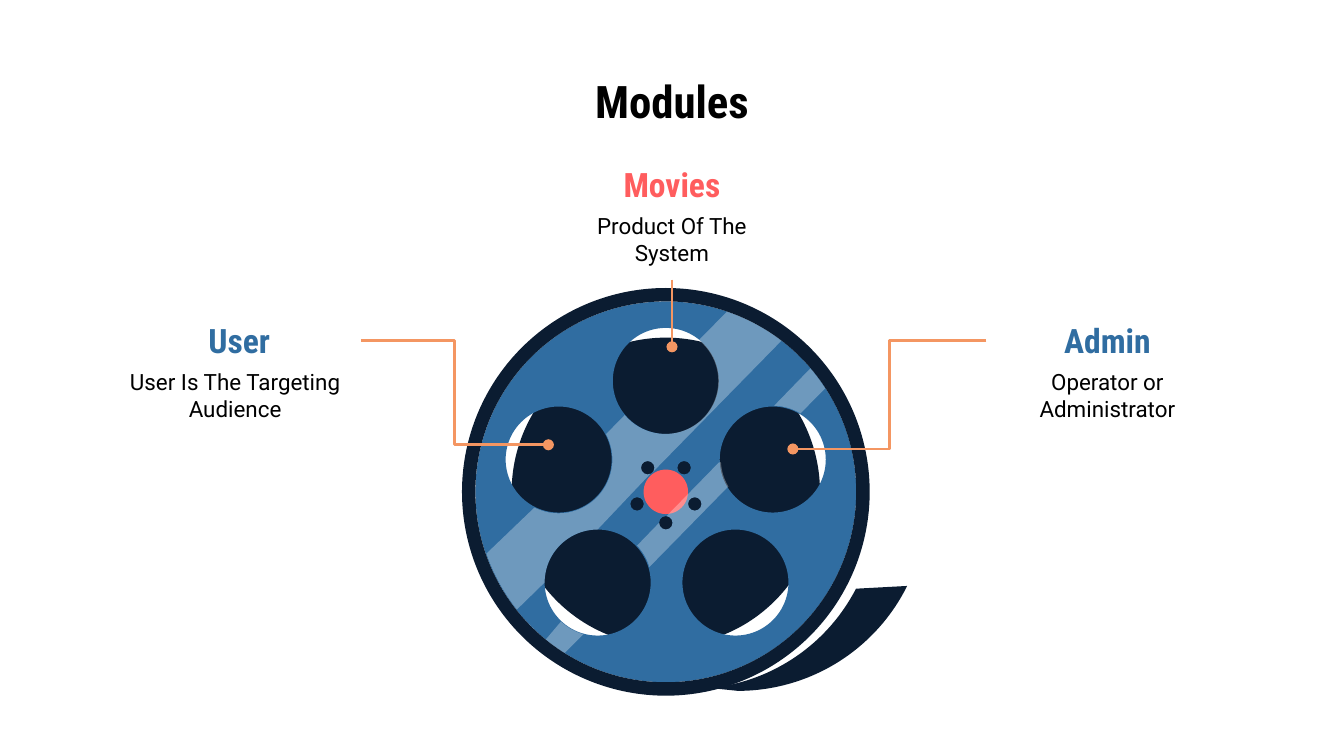
from math import atan2, degrees, hypot

from lxml import etree
from pptx import Presentation
from pptx.dml.color import RGBColor
from pptx.enum.shapes import MSO_CONNECTOR, MSO_SHAPE
from pptx.enum.text import MSO_ANCHOR, PP_ALIGN
from pptx.oxml.ns import qn
from pptx.util import Pt

ELBOW, STRAIGHT = MSO_CONNECTOR.ELBOW, MSO_CONNECTOR.STRAIGHT
OVAL, DONUT = MSO_SHAPE.OVAL, MSO_SHAPE.DONUT
TOP, MIDDLE = MSO_ANCHOR.TOP, MSO_ANCHOR.MIDDLE
CENTER = PP_ALIGN.CENTER

BLACK = RGBColor(0x00, 0x00, 0x00)
WHITE = RGBColor(0xFF, 0xFF, 0xFF)
NAVY = RGBColor(0x0B, 0x1C, 0x31)
BLUE = RGBColor(0x30, 0x6D, 0xA1)
RED = RGBColor(0xFF, 0x5D, 0x5E)
ORANGE = RGBColor(0xF4, 0x96, 0x62)
HEADING_FONT, BODY_FONT = "Roboto Condensed", "Roboto"

# Heading, its colour, description, left of each, top of heading
MODULES = [
    ("User", BLUE, "User Is The Targeting Audience", 63.4, 61.2, 168.5),
    ("Movies", RED, "Product Of The System", 295.2, 295.2, 85),
    ("Admin", BLUE, "Operator or Administrator", 528.5, 528.5, 168.5),
]
LEADERS = [
    (ELBOW, (193.4, 182.2), (293.8, 238.3)),
    (ELBOW, (528.5, 182.2), (424.8, 240.5)),
    (STRAIGHT, (360, 149.8), (360, 185.8)),
]

REEL = (356.7, 263.5)
FILM_RADIUS, FACE_RADIUS, RIM_RADIUS = 82.6, 102, 109.2
HUB_RADIUS, AXLE_RADIUS, WINDOW_RADIUS, BOLT_RADIUS = 11.9, 9.7, 28.4, 3.6
WINDOWS = [(356.7, 204.1), (299.3, 246.2), (414, 246.2), (320.2, 312.1), (394, 312.1)]
TOP_WINDOW, LEFT_WINDOW, RIGHT_WINDOW, LOW_WINDOW, _ = WINDOWS
BOLTS = [(347, 250.6), (366.5, 250.6), (341.3, 270), (372.2, 270), (356.7, 280.1)]
LEFT_BOLT, _, _, RIGHT_BOLT, LOW_BOLT = BOLTS

# An outline is a list of (point, centre): an arc about the centre leads
# to the point, or a straight line where the centre is None.
FILM_TAIL = [
    ((486, 313.9), None), ((458.6, 315.4), None),
    ((380.2, 368.6), (370.5, 269.9)), ((395.3, 370.1), None),
    ((486, 313.9), (395.3, 268.8)),
]
LOWER_GLARE = [
    ((300.2, 333.4), None), ((292.3, 342.7), None), ((302.4, 349.9), REEL),
    ((312.5, 339.8), None), ((300.2, 333.4), LOW_WINDOW),
]
WIDE_GLARE = [
    ((389.5, 167), None), ((374.4, 182.2), None),
    ((385.1, 204.1), TOP_WINDOW), ((334.8, 222.5), TOP_WINDOW),
    ((324.7, 232.6), None), ((286.6, 271.4), LEFT_WINDOW),
    ((260.6, 296.6), None), ((276.5, 326.9), REEL),
    ((291.8, 312.1), None), ((320.2, 283.7), LOW_WINDOW),
    ((348.5, 253.8), None), ((343.4, 250.6), LEFT_BOLT),
    ((347, 247), LEFT_BOLT), ((349.9, 252.7), LEFT_BOLT),
    ((419, 182.2), None), ((389.5, 167), REEL),
]
UPPER_GLARE = [
    ((434.2, 197.3), None), ((414.7, 217.4), None), ((429.1, 221), RIGHT_WINDOW),
    ((442.1, 208.1), None), ((434.2, 197.3), REEL),
]
MIDDLE_GLARE = [
    ((385.2, 247.7), None), ((357.1, 276.5), None), ((360.3, 280.1), LOW_BOLT),
    ((356.7, 283.7), LOW_BOLT), ((353.5, 280.1), LOW_BOLT),
    ((341.3, 292.3), None), ((347.8, 303.8), LOW_WINDOW),
    ((390.2, 260.6), None), ((385.2, 247.7), RIGHT_WINDOW),
]


def circle(center, radius):
    """Outline of four quarter arcs."""
    x, y = center
    right = (x + radius, y)
    quarters = [(x, y + radius), (x - radius, y), (x, y - radius), right]
    return [(right, None)] + [(point, center) for point in quarters]


def arc_element(start, end, center):
    """Arc between two points, the short way round."""
    x, y = center
    start_angle = degrees(atan2(start[1] - y, start[0] - x))
    end_angle = degrees(atan2(end[1] - y, end[0] - x))
    sweep = (end_angle - start_angle + 180) % 360 - 180
    radius = str(Pt(hypot(start[0] - x, start[1] - y)))
    return etree.Element(qn("a:arcTo"), {
        "wR": radius, "hR": radius,
        "stAng": str(round(start_angle % 360 * 60000)),
        "swAng": str(round(sweep * 60000)),
    })


def paint(shape, color, opacity=100):
    shape.shadow.inherit = False
    shape.fill.solid()
    shape.fill.fore_color.rgb = color
    shape.line.fill.background()
    if opacity < 100:
        color_element = shape._element.spPr.find(qn("a:solidFill"))[0]
        etree.SubElement(color_element, qn("a:alpha")).set("val", str(opacity * 1000))


def add_outline(slide, outlines, color, opacity=100):
    """Draw the first outline with the others cut out of it."""
    builder = None
    for outline in outlines:
        first, *others = [(Pt(x), Pt(y)) for (x, y), _ in outline]
        if builder is None:
            builder = slide.shapes.build_freeform(*first, scale=1.0)
        else:
            builder.move_to(*first)
        builder.add_line_segments(others, close=True)
    shape = builder.convert_to_shape()
    lines = list(shape._element.iter(qn("a:lnTo")))
    steps = [(start, end, center) for outline in outlines
             for (start, _), (end, center) in zip(outline, outline[1:])]
    for line, (start, end, center) in zip(lines, steps):
        if center:
            line.getparent().replace(line, arc_element(start, end, center))
    paint(shape, color, opacity)


def add_round(slide, kind, radius, color):
    x, y = REEL
    shape = slide.shapes.add_shape(
        kind, Pt(x - radius), Pt(y - radius), Pt(2 * radius), Pt(2 * radius))
    paint(shape, color)
    return shape


def add_text(slide, text, box, font_name, size, color, bold=False, anchor=TOP):
    frame = slide.shapes.add_textbox(*[Pt(length) for length in box]).text_frame
    frame.word_wrap = True
    frame.vertical_anchor = anchor
    frame.margin_left = frame.margin_right = Pt(7.2)
    frame.margin_top = frame.margin_bottom = Pt(7.2)
    frame.text = text
    paragraph = frame.paragraphs[0]
    paragraph.alignment = CENTER
    font = paragraph.runs[0].font
    font.name, font.size, font.bold = font_name, Pt(size), bold
    font.color.rgb = color


def add_leader(slide, kind, start, end):
    connector = slide.shapes.add_connector(
        kind, *[Pt(length) for length in start + end])
    connector.line.color.rgb = ORANGE
    connector.line.width = Pt(1.5)
    properties = connector._element.spPr
    etree.SubElement(properties.find(qn("a:ln")), qn("a:tailEnd")).set("type", "oval")
    etree.SubElement(properties, qn("a:effectLst"))


def add_reel(slide):
    add_round(slide, OVAL, FILM_RADIUS, NAVY)
    openings = [circle(center, WINDOW_RADIUS) for center in WINDOWS]
    openings += [circle(center, BOLT_RADIUS) for center in BOLTS]
    openings.append(circle(REEL, AXLE_RADIUS))
    add_outline(slide, [circle(REEL, FACE_RADIUS)] + openings, BLUE)
    add_outline(slide, [FILM_TAIL], NAVY)
    add_round(slide, OVAL, HUB_RADIUS, RED)
    for glare in (LOWER_GLARE, WIDE_GLARE, UPPER_GLARE):
        add_outline(slide, [glare], WHITE, 30)
    add_outline(slide, [MIDDLE_GLARE, circle(RIGHT_BOLT, BOLT_RADIUS)], WHITE, 30)
    rim = add_round(slide, DONUT, RIM_RADIUS, NAVY)
    rim.adjustments[0] = (RIM_RADIUS - FACE_RADIUS) / (2 * RIM_RADIUS)


def main():
    presentation = Presentation()
    presentation.slide_width, presentation.slide_height = Pt(720), Pt(405)
    slide = presentation.slides.add_slide(presentation.slide_layouts[6])
    add_reel(slide)
    add_text(slide, "Modules", (40.3, 32.4, 639.4, 45.4), HEADING_FONT, 24, BLACK, True)
    for heading, color, description, heading_left, left, top in MODULES:
        add_text(slide, heading, (heading_left, top, 129.6, 27.4),
                 HEADING_FONT, 18, color, True, MIDDLE)
        add_text(slide, description, (left, top + 21.6, 129.6, 43.2), BODY_FONT, 12, BLACK)
    for leader in LEADERS:
        add_leader(slide, *leader)
    presentation.save("out.pptx")


if __name__ == "__main__":
    main()
